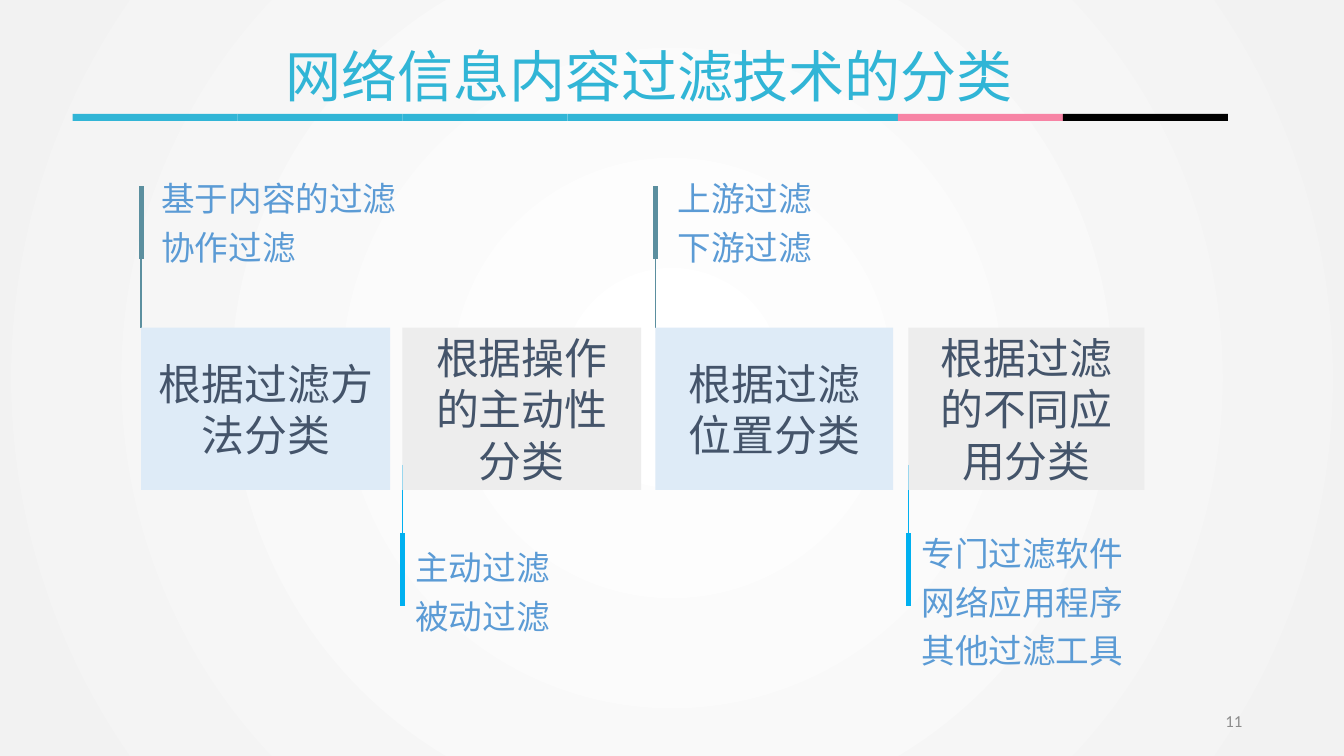
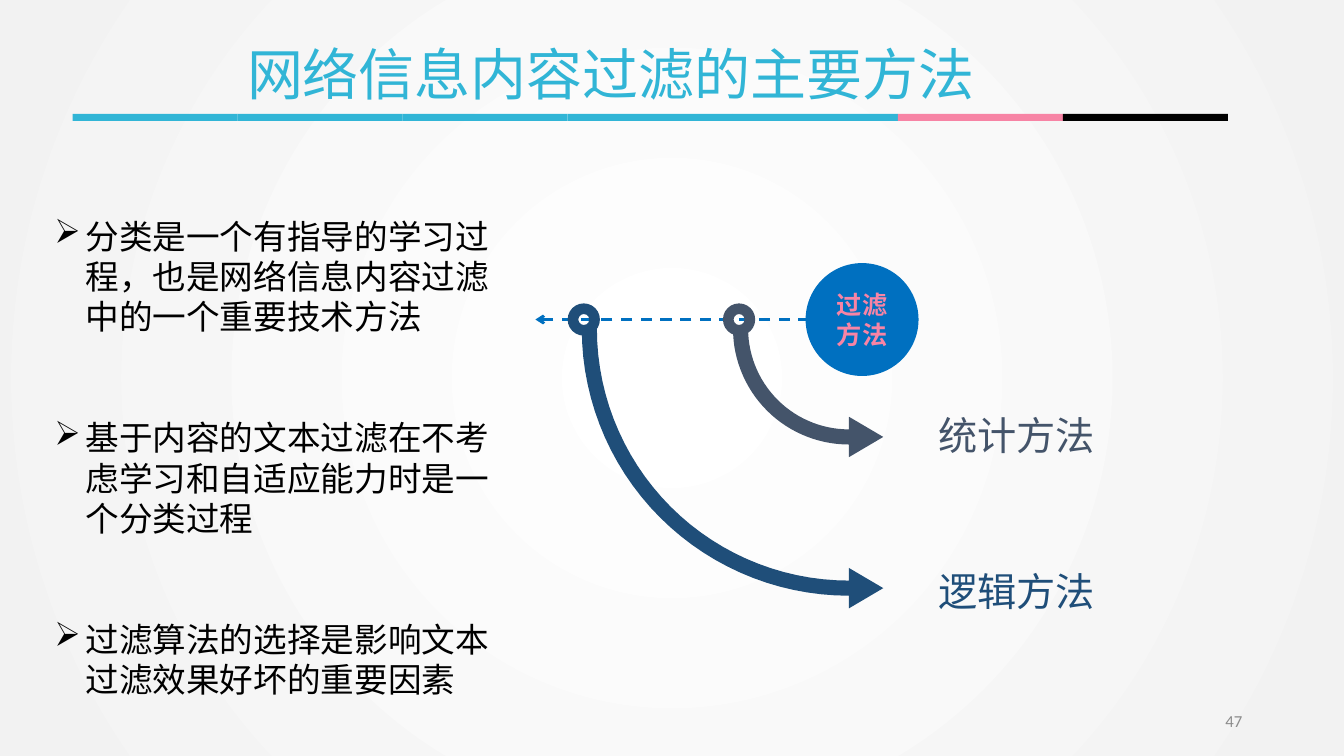
import math

import lxml.etree
import pptx
import pptx.dml.color
import pptx.enum.dml
import pptx.enum.shapes
import pptx.enum.text
import pptx.oxml.ns
import pptx.util

Inches = pptx.util.Inches
Pt = pptx.util.Pt
RGB = pptx.dml.color.RGBColor
SHAPE = pptx.enum.shapes.MSO_SHAPE
ALIGN = pptx.enum.text.PP_ALIGN
ANCHOR = pptx.enum.text.MSO_ANCHOR
qn = pptx.oxml.ns.qn

# Shared look
CJK_FONT, NUMBER_FONT = "Noto Sans CJK SC", "Calibri"
WHITE, PALE_GRAY = RGB(0xFF, 0xFF, 0xFF), RGB(0xF2, 0xF2, 0xF2)
TEAL, PINK, BLACK = RGB(0x31, 0xB5, 0xD6), RGB(0xF7, 0x84, 0xA5), RGB(0, 0, 0)
SLATE, NAVY, BLUE = RGB(0x44, 0x54, 0x6A), RGB(0x1F, 0x4E, 0x79), RGB(0, 0x70, 0xC0)
NOTE_BLUE, NUMBER_GRAY = RGB(0x5B, 0x9B, 0xD5), RGB(0x8C, 0x8C, 0x8C)
BOX_BLUE, BOX_GRAY = RGB(0xDE, 0xEB, 0xF7), RGB(0xED, 0xED, 0xED)
STEM_UP, STEM_DOWN = RGB(0x5B, 0x8F, 0x9F), RGB(0, 0xB0, 0xF0)
BAND_COLORS = [TEAL] * 5 + [PINK, BLACK]
BAND_LEFT, BAND_TOP, BAND_WIDTH, BAND_HEIGHT = 0.72, 1.13, 11.46, 0.07
LINE_HEIGHT = 1.2
WIDE_INSETS = (0.13, 0.06)

# Slide 1: categories (label, left, width, fill, note left, note top, notes)
CATEGORY_TITLE = ("网络信息内容过滤技术的分类", 2.73, 0.36, "11")
CATEGORIES = [
    ("根据过滤方法分类", 1.4, 2.47, BOX_BLUE, 1.47, 1.63,
     ["基于内容的过滤", "协作过滤"]),
    ("根据操作的主动性分类", 3.99, 2.37, BOX_GRAY, 3.99, 5.29,
     ["主动过滤", "被动过滤"]),
    ("根据过滤位置分类", 6.5, 2.36, BOX_BLUE, 6.59, 1.63,
     ["上游过滤", "下游过滤"]),
    ("根据过滤的不同应用分类", 9.01, 2.34, BOX_GRAY, 9.01, 5.15,
     ["专门过滤软件", "网络应用程序", "其他过滤工具"]),
]
BOX_TOP, BOX_HEIGHT = 3.25, 1.61
STEM_LENGTH, STEM_OVERLAP, DOWN_STEM_TOP = 0.72, 0.04, 4.61

# Slide 2: statements and methods (label, label top, color, ring center x, arc radius)
METHOD_TITLE = ("网络信息内容过滤的主要方法", 2.35, 0.34, "47")
STATEMENTS = [
    "分类是一个有指导的学习过程，也是网络信息内容过滤中的一个重要技术方法",
    "基于内容的文本过滤在不考虑学习和自适应能力时是一个分类过程",
    "过滤算法的选择是影响文本过滤效果好坏的重要因素",
]
METHODS = [
    ("统计方法", 4.03, SLATE, 7.33, 1.15),
    ("逻辑方法", 5.58, NAVY, 5.79, 2.65),
]
HUB = "过滤方法"
ARC_CENTER_X, ARC_CENTER_Y, ARC_THICKNESS = 8.42, 3.26, 0.15
HEAD_LENGTH, HEAD_HALF = 0.34, 0.2
RING_SIZE, RING_CENTER_Y = 0.32, 3.17


def place(shape, left, top, width, height):
    for name, value in dict(left=left, top=top, width=width, height=height).items():
        setattr(shape, name, Inches(value))


def write(shape, lines, size, color, font=CJK_FONT, bold=False, wrap=True,
          insets=(0.1, 0.05), anchor=ANCHOR.TOP, spacing=LINE_HEIGHT, **paragraph_format):
    """Fill a shape with one paragraph per line."""
    frame = shape.text_frame
    side, edge = map(Inches, insets)
    frame_format = dict(
        auto_size=pptx.enum.text.MSO_AUTO_SIZE.NONE, word_wrap=wrap,
        vertical_anchor=anchor, margin_left=side, margin_right=side,
        margin_top=edge, margin_bottom=edge)
    for name, value in frame_format.items():
        setattr(frame, name, value)
    paragraph_format = {"alignment": ALIGN.LEFT, "line_spacing": Pt(size * spacing),
                        **paragraph_format}
    for index, line in enumerate(lines):
        paragraph = frame.paragraphs[0] if index == 0 else frame.add_paragraph()
        for name, value in paragraph_format.items():
            setattr(paragraph, name, value)
        run = paragraph.add_run()
        run.text = line
        for name, value in dict(name=font, size=Pt(size), bold=bold).items():
            setattr(run.font, name, value)
        run.font.color.rgb = color
        properties = run.font._element if hasattr(run.font, "_element") else run._r.get_or_add_rPr()
        lxml.etree.SubElement(properties, qn("a:ea"), typeface=font)


def add_text(slide, bounds, lines, size, color, **text_format):
    shape = slide.shapes.add_textbox(*map(Inches, bounds))
    write(shape, lines, size, color, **text_format)
    return shape


def paint(shape, color):
    shape.shadow.inherit = False
    shape.fill.solid()
    shape.fill.fore_color.rgb = color
    shape.line.fill.background()
    return shape


def add_block(slide, kind, bounds, color):
    return paint(slide.shapes.add_shape(kind, *map(Inches, bounds)), color)


def add_line(slide, start, end, color, width):
    line = slide.shapes.add_connector(
        pptx.enum.shapes.MSO_CONNECTOR.STRAIGHT, *map(Inches, start + end))
    line.line.color.rgb = color
    line.line.width = Pt(width)
    lxml.etree.SubElement(line._element.spPr, qn("a:effectLst"))
    return line


def set_background(master):
    """Radial gradient from the center, shared by every slide."""
    fill = master.background.fill
    fill.gradient()
    for stop, position, color in zip(fill.gradient_stops, (0, 1), (WHITE, PALE_GRAY)):
        stop.position = position
        stop.color.rgb = color
    gradient = master._element.find(".//" + qn("p:bgPr")).find(qn("a:gradFill"))
    linear = gradient.find(qn("a:lin"))
    radial = lxml.etree.Element(qn("a:path"), path="circle")
    lxml.etree.SubElement(radial, qn("a:fillToRect"),
                          dict.fromkeys("ltrb", "50000"))
    gradient.replace(linear, radial)


def add_slide(presentation, title, left, top, number):
    """Title, tricolor band and page number."""
    slide = presentation.slides.add_slide(presentation.slide_layouts[5])
    place(slide.shapes.title, left, top, 7.42, 0.77)
    write(slide.shapes.title, [title], 40, TEAL, wrap=False)
    segment = BAND_WIDTH / len(BAND_COLORS)
    for index, color in enumerate(BAND_COLORS):
        bounds = (BAND_LEFT + index * segment, BAND_TOP, segment, BAND_HEIGHT)
        add_block(slide, SHAPE.RECTANGLE, bounds, color)
    add_text(slide, (9.42, 6.95, 3, 0.4), [number], 12, NUMBER_GRAY,
             font=NUMBER_FONT, anchor=ANCHOR.MIDDLE, alignment=ALIGN.RIGHT)
    return slide


def add_stem(slide, x, start, direction, color):
    """Thin line out of the box, continued by a thick one."""
    for width in (1, 3.5):
        end = start + direction * STEM_LENGTH
        add_line(slide, (x, start), (x, end), color, width)
        start = end - direction * STEM_OVERLAP


def build_categories(presentation):
    slide = add_slide(presentation, *CATEGORY_TITLE)
    for label, left, width, fill, note_left, note_top, notes in CATEGORIES:
        if note_top < BOX_TOP:
            add_stem(slide, left, BOX_TOP, -1, STEM_UP)
        else:
            add_stem(slide, left, DOWN_STEM_TOP, 1, STEM_DOWN)
        box = add_block(slide, SHAPE.RECTANGLE, (left, BOX_TOP, width, BOX_HEIGHT), fill)
        write(box, [label], 30.6, SLATE, insets=WIDE_INSETS,
              anchor=ANCHOR.MIDDLE, alignment=ALIGN.CENTER)
        add_text(slide, (note_left, note_top, 2.89, 0.22 + 0.48 * len(notes)), notes,
                 24, NOTE_BLUE, insets=WIDE_INSETS, spacing=LINE_HEIGHT * 1.2)


def add_arc_arrow(slide, radius, color):
    """Quarter ring from the left down to the bottom, ending in an arrowhead."""
    def arc(distance):
        angles = [math.radians(step * 3) for step in range(31)]
        return [(ARC_CENTER_X - distance * math.cos(angle),
                 ARC_CENTER_Y + distance * math.sin(angle)) for angle in angles]

    middle = ARC_CENTER_Y + radius - ARC_THICKNESS / 2
    head = [(ARC_CENTER_X, middle + HEAD_HALF),
            (ARC_CENTER_X + HEAD_LENGTH, middle),
            (ARC_CENTER_X, middle - HEAD_HALF)]
    outline = arc(radius) + head + arc(radius - ARC_THICKNESS)[::-1]
    points = [(Inches(x), Inches(y)) for x, y in outline]
    builder = slide.shapes.build_freeform(*points[0])
    builder.add_line_segments(points[1:], close=True)
    paint(builder.convert_to_shape(), color)


def add_bullets(shape, indent):
    for paragraph in shape.text_frame.paragraphs:
        properties = paragraph._p.get_or_add_pPr()
        properties.set("marL", str(Inches(indent)))
        properties.set("indent", str(-Inches(indent)))
        lxml.etree.SubElement(properties, qn("a:buChar"), char="➢")


def build_methods(presentation):
    slide = add_slide(presentation, *METHOD_TITLE)
    # Hub and dashed axis
    hub = add_block(slide, SHAPE.OVAL, (7.99, 2.61, 1.12, 1.12), BLUE)
    write(hub, [HUB], 18, PINK, bold=True, anchor=ANCHOR.MIDDLE, alignment=ALIGN.CENTER)
    axis = add_line(slide, (8.03, RING_CENTER_Y), (5.31, RING_CENTER_Y), BLUE, 0)
    axis.line.dash_style = pptx.enum.dml.MSO_LINE.DASH
    lxml.etree.SubElement(axis.line._get_or_add_ln(), qn("a:tailEnd"), type="arrow")
    # Arrows, rings and method names
    for label, label_top, color, ring_x, radius in METHODS:
        add_arc_arrow(slide, radius, color)
        ring = add_block(slide, SHAPE.DONUT,
                         (ring_x - RING_SIZE / 2, RING_CENTER_Y - RING_SIZE / 2,
                          RING_SIZE, RING_SIZE), color)
        ring.adjustments[0] = 0.33
        add_text(slide, (9.21, label_top, 1.99, 0.6), [label], 28, color)
    # Statements
    statements = add_text(slide, (0.44, 2.09, 4.69, 4.93), STATEMENTS, 24, BLACK,
                          space_after=Pt(2 * 24 * LINE_HEIGHT))
    add_bullets(statements, 0.31)


def main():
    presentation = pptx.Presentation()
    presentation.slide_width, presentation.slide_height = Inches(13.33), Inches(7.5)
    set_background(presentation.slide_master)
    build_categories(presentation)
    build_methods(presentation)
    presentation.save("out.pptx")


if __name__ == "__main__":
    main()
